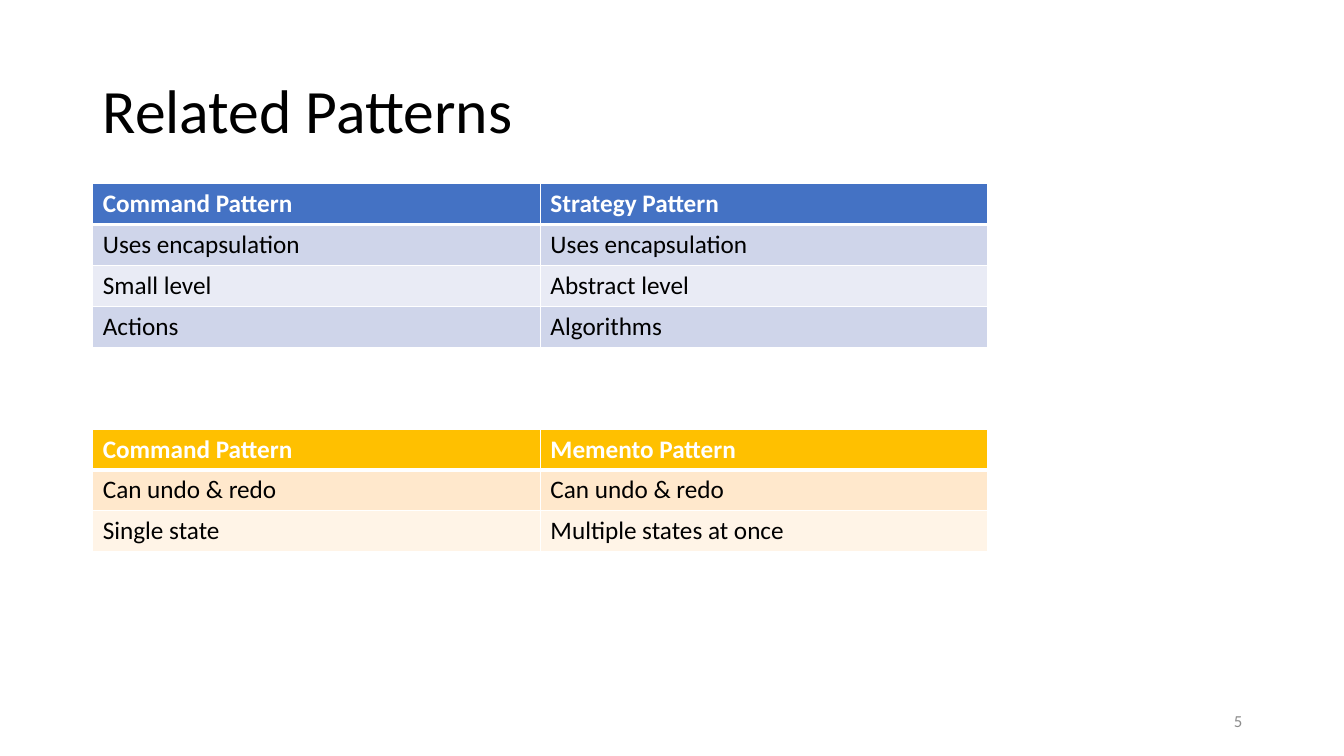
from lxml import etree
from pptx import Presentation
from pptx import util as u
from pptx.dml.color import RGBColor
from pptx.enum import text
from pptx.oxml.ns import qn

WHITE = RGBColor(0xFF, 0xFF, 0xFF)
BLACK = RGBColor(0, 0, 0)
GRAY = RGBColor(0x8C, 0x8C, 0x8C)
BLUES = [RGBColor.from_string(c) for c in ("4472C4", "CFD5EA", "E9EBF5")]
GOLDS = [RGBColor.from_string(c) for c in ("FFC000", "FFE8CC", "FFF4E7")]
FONT = "Calibri"

TITLE = "Related Patterns"
PAGE = "5"
STRATEGY = [
    ("Command Pattern", "Strategy Pattern"),
    ("Uses encapsulation", "Uses encapsulation"),
    ("Small level", "Abstract level"),
    ("Actions", "Algorithms"),
]
MEMENTO = [
    ("Command Pattern", "Memento Pattern"),
    ("Can undo & redo", "Can undo & redo"),
    ("Single state", "Multiple states at once"),
]

# Inches
LEFT, TABLE_TOP = 0.92, 1.82
COL_W, ROW_H = 4.44, 0.406
GAP_ROWS = 2  # empty rows between the tables


def write(tf, words, size=18, color=BLACK, bold=False, align=None, spacing=None):
    p = tf.paragraphs[0]
    p.alignment, p.line_spacing = align, spacing
    r = p.add_run()
    r.text = words
    r.font.name, r.font.size, r.font.bold = FONT, u.Pt(size), bold
    r.font.color.rgb = color


def add_text(s, words, box, **fmt):
    tf = s.shapes.add_textbox(*map(u.Inches, box)).text_frame
    tf.word_wrap = True
    tf.vertical_anchor = text.MSO_ANCHOR.MIDDLE
    write(tf, words, **fmt)


def set_borders(cell, top, bottom):
    """Draw white cell edges; top and bottom are widths in points."""
    tc_pr = cell._tc.get_or_add_tcPr()
    edges = (("a:lnL", 1), ("a:lnR", 1), ("a:lnT", top), ("a:lnB", bottom))
    for i, (tag, width) in enumerate(edges):
        ln = etree.Element(qn(tag), w=str(u.Pt(width)))
        fill = etree.SubElement(ln, qn("a:solidFill"))
        etree.SubElement(fill, qn("a:srgbClr"), val=str(WHITE))
        tc_pr.insert(i, ln)


def add_comparison(s, rows, top, colors):
    """Add a table whose first color is the header and the others the bands."""
    header, *bands = colors
    cols = len(rows[0])
    box = (LEFT, top, cols * COL_W, len(rows) * ROW_H)
    table = s.shapes.add_table(len(rows), cols, *map(u.Inches, box)).table
    for i, row in enumerate(rows):
        for j, words in enumerate(row):
            cell = table.cell(i, j)
            cell.fill.solid()
            cell.fill.fore_color.rgb = bands[(i - 1) % 2] if i else header
            set_borders(cell, top=3 if i == 1 else 1, bottom=1 if i else 3)
            write(cell.text_frame, words, color=BLACK if i else WHITE, bold=not i)


def main():
    prs = Presentation()
    prs.slide_width, prs.slide_height = u.Inches(13.33), u.Inches(7.5)
    s = prs.slides.add_slide(prs.slide_layouts[6])
    add_text(s, TITLE, (LEFT, 0.4, 11.5, 1.45), size=44, spacing=0.9)
    add_text(s, PAGE, (9.42, 6.95, 3, 0.4), size=12, color=GRAY,
             align=text.PP_ALIGN.RIGHT)
    top = TABLE_TOP
    for rows, colors in ((STRATEGY, BLUES), (MEMENTO, GOLDS)):
        add_comparison(s, rows, top, colors)
        top += (len(rows) + GAP_ROWS) * ROW_H
    prs.save("out.pptx")


if __name__ == "__main__":
    main()
